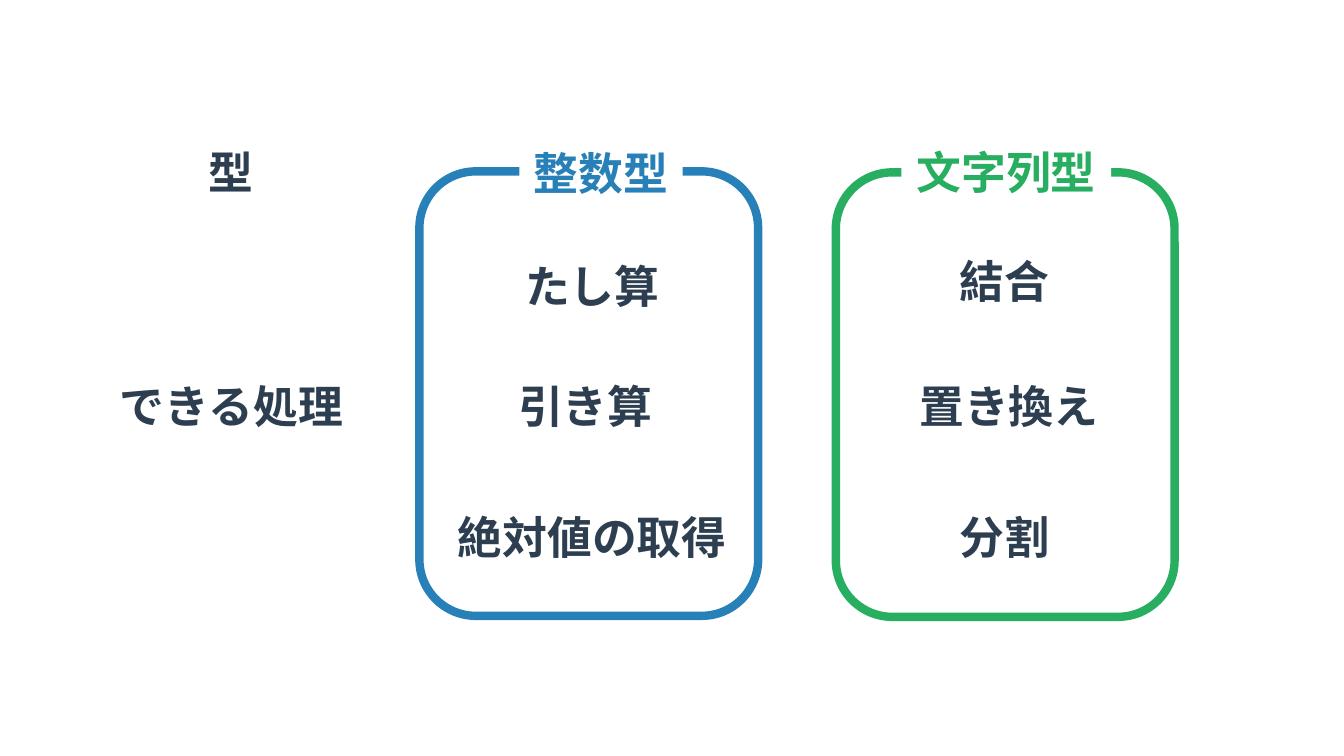
from dataclasses import dataclass

from pptx import Presentation
from pptx.dml.color import RGBColor
from pptx.enum.shapes import MSO_SHAPE
from pptx.enum.text import MSO_ANCHOR, MSO_AUTO_SIZE, PP_ALIGN
from pptx.shapes.autoshape import Shape
from pptx.slide import Slide
from pptx.util import Inches, Pt

RECTANGLE, ROUNDED = MSO_SHAPE.RECTANGLE, MSO_SHAPE.ROUNDED_RECTANGLE
LEFT, CENTER = PP_ALIGN.LEFT, PP_ALIGN.CENTER
MIDDLE = MSO_ANCHOR.MIDDLE
GROW = MSO_AUTO_SIZE.SHAPE_TO_FIT_TEXT

COLORS = {"text": "2C3E50", "integer": "2880B9", "string": "27AE60", "background": "FFFFFF"}
BLANK_LAYOUT = 6
LABEL_HEIGHT = 0.64
FRAME_WIDTH, FRAME_HEIGHT = 3.36, 4.41


@dataclass(frozen=True)
class Label:
    text: str
    left: float
    top: float
    width: float


@dataclass(frozen=True)
class TypeGroup:
    color: str
    left: float
    top: float
    heading: Label
    operations: tuple[Label, ...]


ROW_LABELS = (
    Label("型", 1.97, 1.38, 0.65),
    Label("できる処理", 1.09, 3.7, 2.45),
)
TYPE_GROUPS = (
    TypeGroup("integer", 4.16, 1.7, Label("整数型", 5.15, 1.39, 1.62), (
        Label("たし算", 5.11, 2.51, 1.55),
        Label("引き算", 5.04, 3.7, 1.55),
        Label("絶対値の取得", 4.44, 5, 2.89),
    )),
    TypeGroup("string", 8.29, 1.71, Label("文字列型", 8.94, 1.38, 2.08), (
        Label("結合", 9.42, 2.46, 1.1),
        Label("置き換え", 9.02, 3.7, 2),
        Label("分割", 9.42, 5, 1.1),
    )),
)


def rgb(color: str) -> RGBColor:
    return RGBColor.from_string(COLORS[color])


def write_text(shape: Shape, text: str, *, color: str = "text", size: float = 32,
               font: str = "Arial", bold: bool = True, align: PP_ALIGN = LEFT,
               wrap: bool = False) -> None:
    frame = shape.text_frame
    frame.word_wrap = wrap
    frame.auto_size = GROW
    frame.vertical_anchor = MIDDLE
    paragraph = frame.paragraphs[0]
    paragraph.alignment = align
    run = paragraph.add_run()
    run.text = text
    run.font.name = font
    run.font.size = Pt(size)
    run.font.bold = bold
    run.font.color.rgb = rgb(color)


def add_label(slide: Slide, label: Label) -> None:
    box = slide.shapes.add_textbox(Inches(label.left), Inches(label.top),
                                   Inches(label.width), Inches(LABEL_HEIGHT))
    write_text(box, label.text)


def add_type_group(slide: Slide, group: TypeGroup) -> None:
    # Rounded outline
    outline = slide.shapes.add_shape(ROUNDED, Inches(group.left), Inches(group.top),
                                     Inches(FRAME_WIDTH), Inches(FRAME_HEIGHT))
    outline.shadow.inherit = False
    outline.fill.background()
    outline.line.color.rgb = rgb(group.color)
    outline.line.width = Pt(6)

    # Heading that interrupts the outline
    heading = group.heading
    plate = slide.shapes.add_shape(RECTANGLE, Inches(heading.left), Inches(heading.top),
                                   Inches(heading.width), Inches(LABEL_HEIGHT))
    plate.shadow.inherit = False
    plate.fill.solid()
    plate.fill.fore_color.rgb = rgb("background")
    plate.line.fill.background()
    write_text(plate, heading.text, color=group.color, align=CENTER, wrap=True)

    # Operations the type supports
    for operation in group.operations:
        add_label(slide, operation)


def main() -> None:
    presentation = Presentation()
    presentation.slide_width = Inches(13.33)
    presentation.slide_height = Inches(7.5)
    slide = presentation.slides.add_slide(presentation.slide_layouts[BLANK_LAYOUT])

    for row_label in ROW_LABELS:
        add_label(slide, row_label)
    for group in TYPE_GROUPS:
        add_type_group(slide, group)

    presentation.save("out.pptx")


if __name__ == "__main__":
    main()
